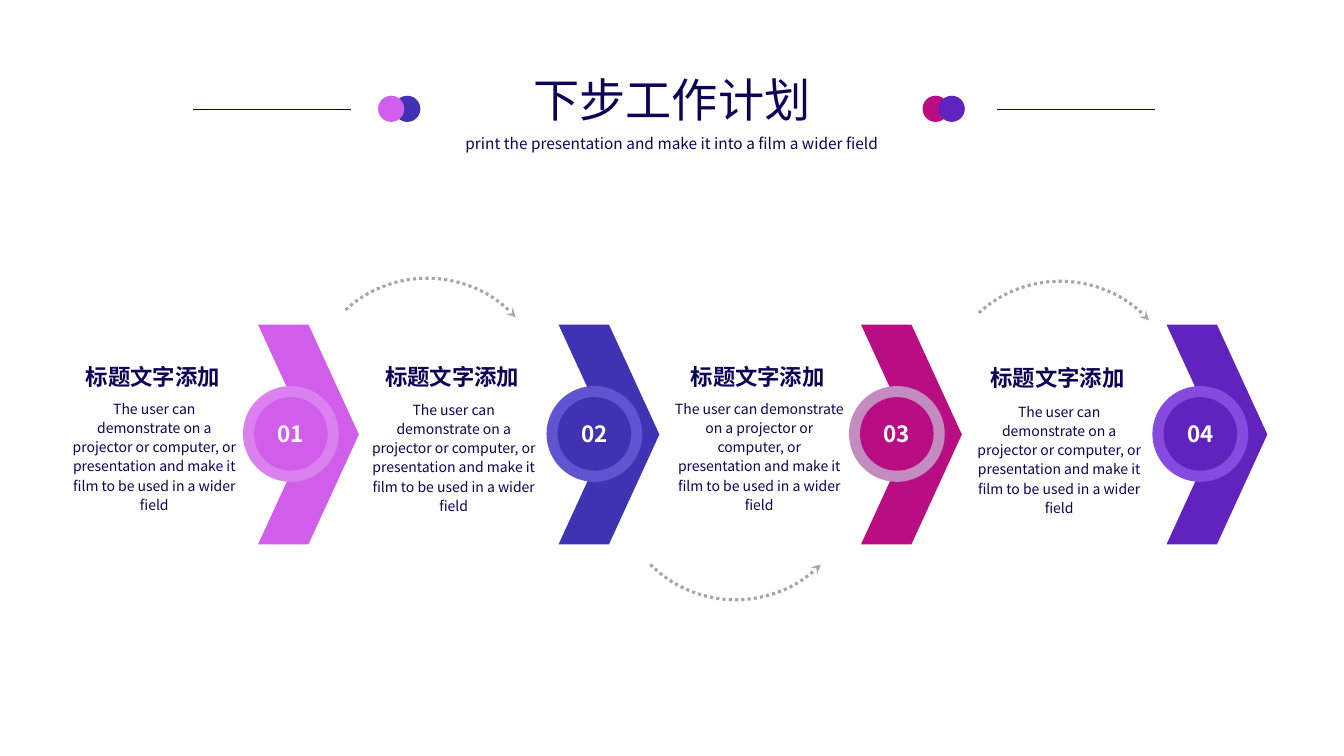
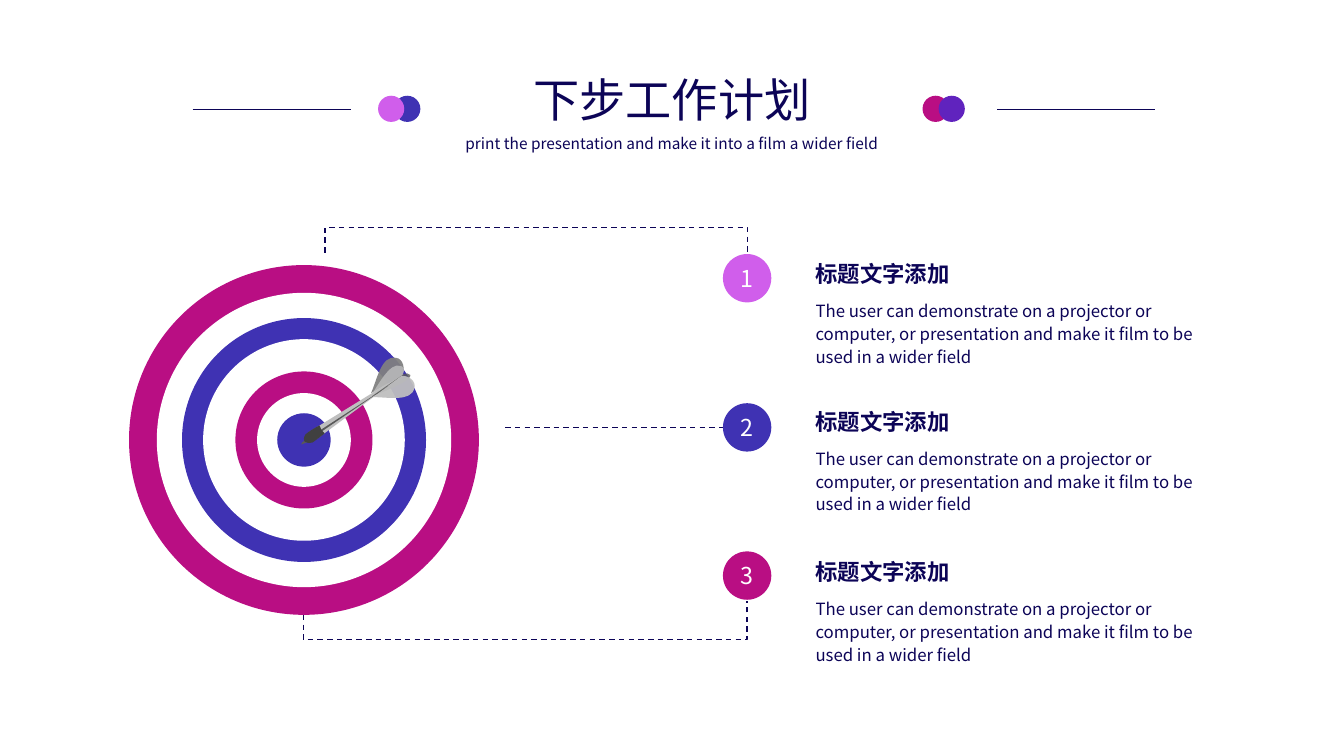
from lxml.etree import SubElement as Sub
from pptx import Presentation
from pptx.dml.color import RGBColor as Rgb
from pptx.enum.dml import MSO_LINE as Dash
from pptx.enum.shapes import MSO_CONNECTOR as Conn, MSO_SHAPE as Kind
from pptx.enum.text import MSO_ANCHOR as Anchor, MSO_AUTO_SIZE as Auto, PP_ALIGN as Align
from pptx.oxml.ns import qn
from pptx.util import Inches, Pt

FONT = "Noto Sans CJK SC"
NAVY = Rgb(0x0C, 0x04, 0x57)
PINK = Rgb(0xD0, 0x5E, 0xEB)
BLUE = Rgb(0x3F, 0x32, 0xB3)
ROSE = Rgb(0xB9, 0x0E, 0x83)
PURPLE = Rgb(0x60, 0x23, 0xBE)
WHITE = Rgb(0xFF, 0xFF, 0xFF)
PINK_HALO = Rgb(0xDA, 0x81, 0xEF)
BLUE_HALO = Rgb(0x60, 0x54, 0xD0)
ROSE_HALO = Rgb(0xC2, 0x8C, 0xBE)
PURPLE_HALO = Rgb(0x86, 0x4A, 0xDE)
ARROW = Rgb(0xA6, 0xA6, 0xA6)
SILVER = Rgb(0xBF, 0xBF, 0xBF)
GRAY = Rgb(0x80, 0x80, 0x80)
SLATE = Rgb(0x59, 0x59, 0x59)
COAL = Rgb(0x40, 0x40, 0x40)

TITLE = "下步工作计划"
SUBTITLE = "print the presentation and make it into a film a wider field"
HEAD = "标题文字添加"
BODY = ("The user can demonstrate on a projector or computer, "
        "or presentation and make it film to be used in a wider field")

STEPS = [
    (0.72, 1.62, 3.6, 3.95, 2.56, 2.41, PINK, PINK_HALO),
    (3.67, 1.66, 3.6, 3.96, 5.54, 5.42, BLUE, BLUE_HALO),
    (6.69, 1.68, 3.6, 3.95, 8.54, 8.42, ROSE, ROSE_HALO),
    (9.69, 1.63, 3.61, 3.98, 11.57, 11.43, PURPLE, PURPLE_HALO),
]
ARCS = [(3.04, 2.76, 317.5, False), (6.1, 3.56, 225, True), (9.32, 2.79, 317.5, False)]
RINGS = [(3.47, ROSE), (2.92, WHITE), (2.42, BLUE), (2, WHITE),
         (1.36, ROSE), (0.93, WHITE), (0.53, BLUE)]
ITEMS = [(2.52, 2.53, 2.91, PINK), (4, 4, 4.37, BLUE), (5.47, 5.49, 5.86, ROSE)]
DART = [
    (SILVER, 100, (110, 21), [(16, 79), (14, 81, 13, 84, 15, 86), (17, 89, 18, 89, 21, 87),
                              (25, 85), (110, 22)]),
    (SLATE, 80, (79, 43), [(119, 28, 117, 23, 117, 22), (116, 21, 113, 19, 109, 22)]),
    (GRAY, 94, (78, 40), [(84, 27, 88, 2, 103, 5), (110, 6, 112, 16, 109, 22)]),
    (SILVER, 94, (80, 44), [(95, 44, 118, 49, 121, 35), (123, 28, 115, 22, 108, 23)]),
    (SILVER, 80, (79, 41), [(85, 32, 97, 9, 107, 13), (109, 13, 113, 16, 109, 22)]),
    (SLATE, 100, (95, 33), [(12, 87), (10, 89, 8, 90, 9, 91), (9, 91, 11, 90, 14, 89),
                            (22, 83)]),
    (COAL, 100, (32, 80), [(29, 78, 28, 75, 27, 72), (25, 73, 16, 78, 13, 81),
                           (11, 84, 11, 87, 12, 88), (13, 89, 16, 90, 20, 89),
                           (23, 87, 31, 81, 32, 80)]),
]


def write(frame, text, size, color, bold=False, align=Align.CENTER, space=None):
    par = frame.paragraphs[0]
    par.alignment = align
    if space:
        par.line_spacing = space
    run = par.add_run()
    run.text = text
    font = run.font
    font.size, font.bold, font.name = Pt(size), bold, FONT
    font.color.rgb = color
    Sub(run._r.get_or_add_rPr(), qn("a:ea"), typeface=FONT)


def strip(frame):
    frame.margin_left = frame.margin_right = 0
    frame.margin_top = frame.margin_bottom = 0


def label(slide, box, text, size, wrap=True, tight=False, grow=True, **style):
    frame = slide.shapes.add_textbox(*map(Inches, box)).text_frame
    frame.word_wrap = wrap
    frame.auto_size = Auto.SHAPE_TO_FIT_TEXT if grow else Auto.NONE
    if tight:
        strip(frame)
    write(frame, text, size, NAVY, **style)


def paint(shape, color, alpha=100):
    shape.shadow.inherit = False
    shape.fill.solid()
    shape.fill.fore_color.rgb = color
    shape.line.fill.background()
    if alpha < 100:
        tint = shape._element.spPr.find(qn("a:solidFill"))[0]
        Sub(tint, qn("a:alpha"), val=str(alpha * 1000))


def solid(slide, kind, box, color, alpha=100):
    shape = slide.shapes.add_shape(kind, *map(Inches, box))
    paint(shape, color, alpha)
    return shape


def disc(slide, x, y, size, color, text="", points=16, bold=False):
    shape = solid(slide, Kind.OVAL, (x, y, size, size), color)
    if text:
        frame = shape.text_frame
        frame.word_wrap = False
        frame.vertical_anchor = Anchor.MIDDLE
        strip(frame)
        write(frame, text, points, WHITE, bold)


def line(slide, kind, ends, width, dash=None):
    link = slide.shapes.add_connector(kind, *map(Inches, ends))
    link.line.color.rgb = NAVY
    link.line.width = Pt(width)
    if dash:
        link.line.dash_style = dash
    Sub(link._element.spPr, qn("a:effectLst"))
    return link


def elbow(slide, x, y, wide, high, turn, flips, adjust):
    link = line(slide, Conn.ELBOW, (x, y, x + wide, y + high), 1, Dash.DASH)
    frame = link._element.spPr.find(qn("a:xfrm"))
    frame.set("rot", str(turn * 60000))
    for flip in flips:
        frame.set(flip, "1")
    geom = link._element.spPr.find(qn("a:prstGeom"))
    rules = geom.find(qn("a:avLst"))
    if rules is None:
        rules = Sub(geom, qn("a:avLst"))
    Sub(rules, qn("a:gd"), name="adj1", fmla=f"val {round(adjust * 100000)}")


def header(slide):
    panel = solid(slide, Kind.RECTANGLE, (0.32, 0.31, 12.7, 6.89), WHITE, 60)
    panel.line.color.rgb = WHITE
    panel.line.width = Pt(1)
    for x, color in ((3.91, BLUE), (3.75, PINK), (9.15, ROSE), (9.31, PURPLE)):
        disc(slide, x, 0.95, 0.26, color)
    for x in (1.91, 9.89):
        line(slide, Conn.STRAIGHT, (x, 1.09, x + 1.57, 1.09), 0.5)
    label(slide, (4.36, 0.81, 4.61, 0.55), TITLE, 33, grow=False, space=0.7)
    label(slide, (4.36, 1.28, 4.61, 0.29), SUBTITLE, 11)


def step(slide, num, x, wide, high, top, tip, dot, color, halo):
    label(slide, (x + wide / 2 - 0.69, high, 1.35, 0.27), HEAD, 16,
          wrap=False, tight=True, bold=True)
    label(slide, (x, top, wide, 0.77), BODY, 10, tight=True, space=1.14)
    solid(slide, Kind.CHEVRON, (tip, 3.22, 1, 2.18), color)
    disc(slide, dot, 3.83, 0.95, halo)
    disc(slide, dot + 0.11, 3.94, 0.73, color, f"{num:02}", bold=True)


def arc(slide, x, y, turn, flip):
    shape = slide.shapes.add_shape(Kind.ARC, *map(Inches, (x, y, 2.39, 2.39)))
    shape.shadow.inherit = False
    shape.fill.background()
    shape.rotation = turn
    if flip:
        shape._element.spPr.find(qn("a:xfrm")).set("flipH", "1")
    shape.line.color.rgb = ARROW
    shape.line.width = Pt(2.25)
    shape.line.dash_style = Dash.ROUND_DOT
    Sub(shape._element.spPr.find(qn("a:ln")), qn("a:tailEnd"), type="stealth")


def bend(shape, parts, spot):
    edges = list(shape._element.iter(qn("a:lnTo")))
    for edge, part in zip(edges, parts):
        if len(part) == 2:
            continue
        edge.tag = qn("a:cubicBezTo")
        for i in (2, 0):
            x, y = spot(part[i:i + 2])
            node = Sub(edge, qn("a:pt"), x=str(x - shape.left), y=str(y - shape.top))
            edge.insert(0, node)


def dart(slide, x, y):
    def spot(pair):
        return Inches(x + pair[0] / 100), Inches(y + pair[1] / 100)

    for color, alpha, start, parts in DART:
        pen = slide.shapes.build_freeform(*spot(start))
        pen.add_line_segments([spot(part[-2:]) for part in parts], close=True)
        shape = pen.convert_to_shape()
        bend(shape, parts, spot)
        paint(shape, color, alpha)


def target(slide, x, y, size):
    for ring, color in RINGS:
        inset = (size - ring) / 2
        disc(slide, x + inset, y + inset, ring, color)
    dart(slide, x + 1.62, y + 0.87)


def item(slide, num, dot, high, top, color):
    disc(slide, 7.17, dot, 0.48, color, str(num), 16.6)
    label(slide, (7.99, high, 2.33, 0.37), HEAD, 16, bold=True, align=Align.LEFT)
    label(slide, (7.99, top, 4.31, 0.56), BODY, 12, align=Align.LEFT, space=1.14)


def flow(slide):
    header(slide)
    for num, data in enumerate(STEPS, 1):
        step(slide, num, *data)
    for data in ARCS:
        arc(slide, *data)


def goals(slide):
    header(slide)
    target(slide, 1.28, 2.63, 3.47)
    elbow(slide, 5.31, 0.42, 0.02, 4.19, 270, ["flipH"], -12.5)
    elbow(slide, 5.14, 3.83, 0.14, 4.4, 90, ["flipH", "flipV"], -1.77)
    line(slide, Conn.STRAIGHT, (5.01, 4.24, 7.17, 4.24), 1, Dash.DASH)
    for num, data in enumerate(ITEMS, 1):
        item(slide, num, *data)


def main():
    deck = Presentation()
    deck.slide_width, deck.slide_height = Inches(13.33), Inches(7.5)
    for build in (flow, goals):
        build(deck.slides.add_slide(deck.slide_layouts[6]))
    deck.save("out.pptx")


if __name__ == "__main__":
    main()
